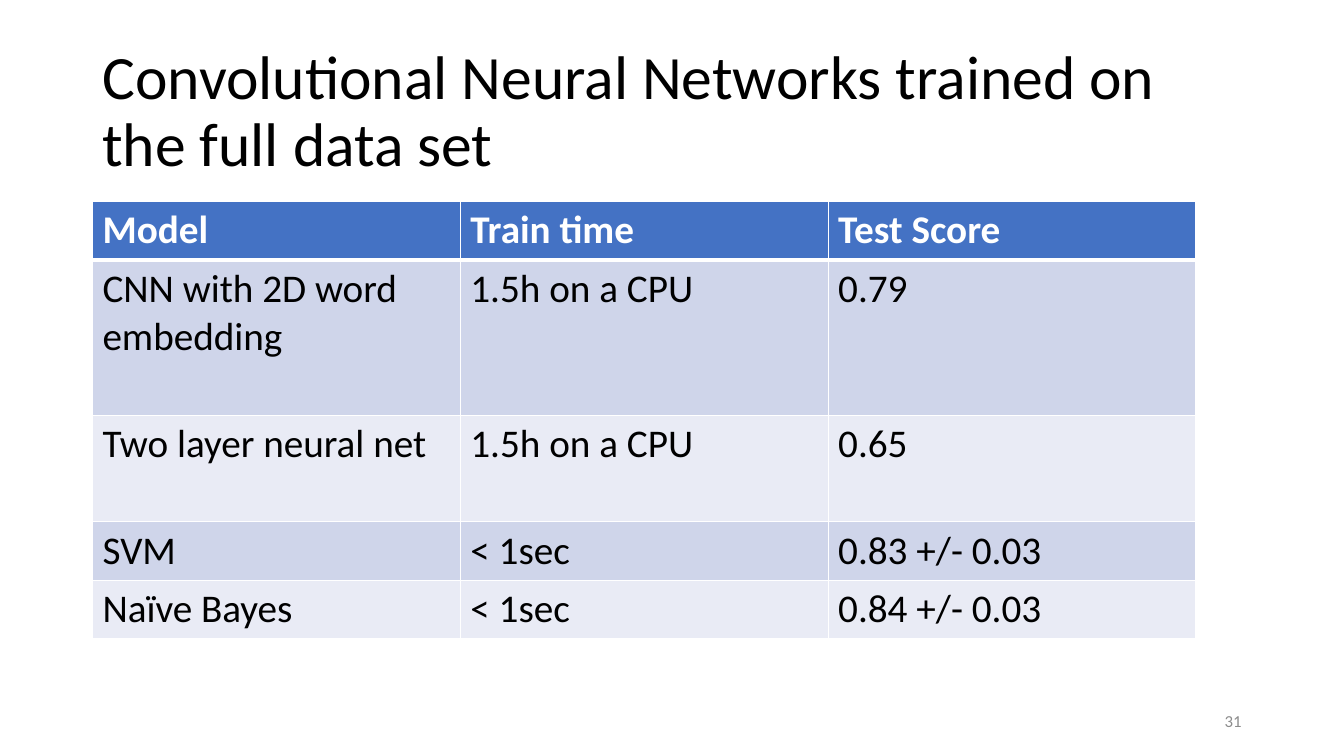
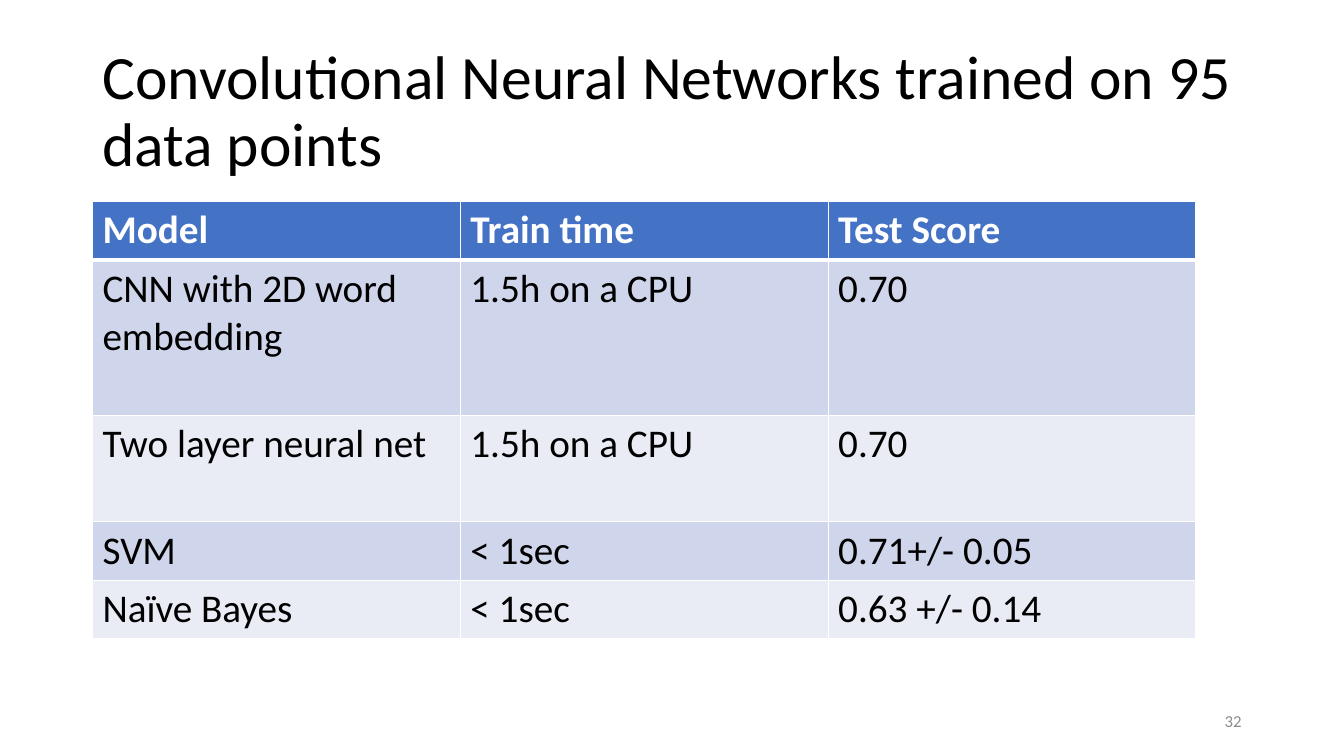
from lxml import etree
from pptx import Presentation
from pptx.dml.color import RGBColor
from pptx.enum.text import MSO_ANCHOR, PP_ALIGN
from pptx.oxml.ns import qn
from pptx.util import Cm, Pt

MID = MSO_ANCHOR.MIDDLE
LEFT, RIGHT = PP_ALIGN.LEFT, PP_ALIGN.RIGHT
FONT = "Calibri"
HUES = {"head": "4472C4", "dark": "CFD5EA", "pale": "E9EBF5",
        "white": "FFFFFF", "black": "000000", "grey": "8C8C8C"}
EDGE = 2.33
WIDTH = 9.27
ROWS = (1.47, 3.91, 2.69, 1.47, 1.47)
HEADS = ("Model", "Train time", "Test Score")
MODELS = (("CNN with 2D word embedding", "1.5h on a CPU"),
          ("Two layer neural net", "1.5h on a CPU"),
          ("SVM", "< 1sec"),
          ("Naïve Bayes", "< 1sec"))
SLIDES = (("Convolutional Neural Networks trained on the full data set",
           ("0.79", "0.65", "0.83 +/- 0.03", "0.84 +/- 0.03")),
          ("Convolutional Neural Networks trained on 95 data points",
           ("0.70", "0.70", "0.71+/- 0.05", "0.63 +/- 0.14")))
FIRST = 31


class Deck:
    """Hold the shared style and the current slide."""

    def __init__(self):
        self.prs = Presentation()
        self.prs.slide_width, self.prs.slide_height = Cm(33.87), Cm(19.05)
        self.slide = None

    def start(self):
        self.slide = self.prs.slides.add_slide(self.prs.slide_layouts[6])

    def style(self, para, size, hue, bold=False):
        font = para.font
        font.name, font.size, font.bold = FONT, Pt(size), bold
        font.color.rgb = RGBColor.from_string(HUES[hue])

    def text(self, words, box, size, hue, align=LEFT, space=1.0):
        frame = self.slide.shapes.add_textbox(*map(Cm, box)).text_frame
        frame.word_wrap = True
        frame.vertical_anchor = MID
        para = frame.paragraphs[0]
        para.text = words
        para.alignment = align
        para.line_spacing = space
        self.style(para, size, hue)

    def title(self, words):
        self.text(words, (EDGE, 1.01, 29.21, 3.68), 44, "black", space=0.9)

    def number(self, count):
        self.text(str(count), (23.92, 17.65, 7.62, 1.02), 12, "grey", RIGHT)

    def border(self, cell, side, width):
        props = cell._tc.get_or_add_tcPr()
        line = etree.SubElement(props, qn("a:ln" + side), w=str(Pt(width)))
        fill = etree.SubElement(line, qn("a:solidFill"))
        etree.SubElement(fill, qn("a:srgbClr"), val=HUES["white"])

    def cell(self, cell, words, row):
        head = row == 0
        for side in "LRTB":
            thick = (row, side) in ((0, "B"), (1, "T"))
            self.border(cell, side, 3 if thick else 1)
        fill = "head" if head else "dark" if row % 2 else "pale"
        cell.fill.solid()
        cell.fill.fore_color.rgb = RGBColor.from_string(HUES[fill])
        cell.text = words
        para = cell.text_frame.paragraphs[0]
        self.style(para, 28, "white" if head else "black", head)

    def table(self, data):
        box = (EDGE, 5.08, WIDTH * len(HEADS), sum(ROWS))
        frame = self.slide.shapes.add_table(
            len(data), len(HEADS), *map(Cm, box))
        table = frame.table
        for col in table.columns:
            col.width = Cm(WIDTH)
        for row, (words, height) in enumerate(zip(data, ROWS)):
            table.rows[row].height = Cm(height)
            for col, word in enumerate(words):
                self.cell(table.cell(row, col), word, row)


def main():
    deck = Deck()
    for count, (title, scores) in enumerate(SLIDES, FIRST):
        deck.start()
        deck.title(title)
        body = [(*model, score) for model, score in zip(MODELS, scores)]
        deck.table([HEADS, *body])
        deck.number(count)
    deck.prs.save("out.pptx")


if __name__ == "__main__":
    main()
